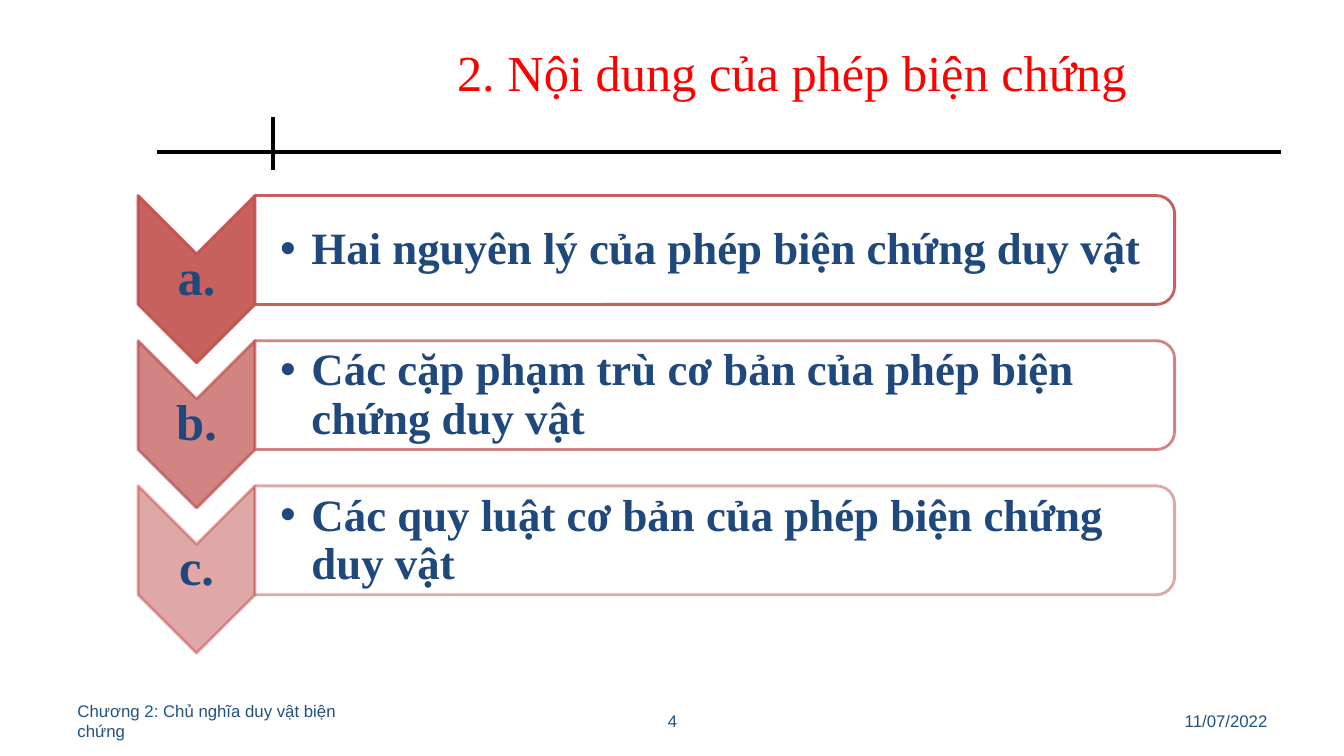
"""Build the slide listing the three parts of dialectics."""
import pptx
import pptx.util
import pptx.dml.color
import pptx.enum.shapes
import pptx.enum.text
import lxml.etree

Inches, Pt = pptx.util.Inches, pptx.util.Pt
RGBColor = pptx.dml.color.RGBColor
SHAPE = pptx.enum.shapes.MSO_SHAPE
ALIGN = pptx.enum.text.PP_ALIGN
A = "http://schemas.openxmlformats.org/drawingml/2006/main"

BLACK = RGBColor(0x00, 0x00, 0x00)
WHITE = RGBColor(0xFF, 0xFF, 0xFF)
RED = RGBColor(0xFF, 0x00, 0x00)
BRICK = RGBColor(0xC0, 0x50, 0x4D)
NAVY = RGBColor(0x1F, 0x49, 0x7D)
FOOTER_BLUE = RGBColor(0x1F, 0x52, 0x81)

TITLE = "2. Nội dung của phép biện chứng"
ROWS = [
    ("a.", "Hai nguyên lý của phép biện chứng duy vật", 90),
    ("b.", "Các cặp phạm trù cơ bản của phép biện chứng duy vật", 70),
    ("c.", "Các quy luật cơ bản của phép biện chứng duy vật", 50),
]
FOOTERS = [
    ("Chương 2: Chủ nghĩa duy vật biện chứng", 0.67, 3.11, ALIGN.LEFT),
    ("4", 4.56, 4.22, ALIGN.CENTER),
    ("11/07/2022", 9.56, 3.11, ALIGN.RIGHT),
]
RULES = [(1.56, 1.51, 12.71, 1.51), (2.71, 1.16, 2.71, 1.69)]

TITLE_FONT = {"name": "Times New Roman", "size": Pt(36)}
LABEL_FONT = {**TITLE_FONT, "bold": True}
ITEM_FONT = {**LABEL_FONT, "size": Pt(32)}
FOOTER_FONT = {"name": "Arial", "size": Pt(12)}

FIRST_TOP, PITCH = 1.94, 1.44
CHEVRON_W, CHEVRON_H = 1.66, 1.16
BAR_W, BAR_H = 9.12, 1.08
CHEVRON_LEFT = 1.37
BAR_LEFT = CHEVRON_LEFT + CHEVRON_H


def set_alpha(color_format, percent):
    color = color_format._xFill.find(f"{{{A}}}srgbClr")
    lxml.etree.SubElement(color, f"{{{A}}}alpha", val=str(percent * 1000))


def add_bullet(p, indent):
    pPr = p._p.get_or_add_pPr()
    pPr.set("marL", str(Inches(indent)))
    pPr.set("indent", str(-Inches(indent)))
    lxml.etree.SubElement(pPr, f"{{{A}}}buFont", typeface="Arial")
    lxml.etree.SubElement(pPr, f"{{{A}}}buChar", char="•")


def add_text(s, text, box, font, color, align=ALIGN.LEFT, insets=(0.1, 0.05),
             spacing=None, bullet=None):
    tf = s.shapes.add_textbox(*map(Inches, box)).text_frame
    left, other = insets
    frame = {"word_wrap": True, "vertical_anchor": pptx.enum.text.MSO_ANCHOR.MIDDLE,
             "margin_left": Inches(left), "margin_right": Inches(min(left, 0.1) if bullet is None else other),
             "margin_top": Inches(other), "margin_bottom": Inches(other)}
    for key, value in frame.items():
        setattr(tf, key, value)
    p = tf.paragraphs[0]
    if bullet:
        add_bullet(p, bullet)
    p.alignment, p.line_spacing = align, spacing
    r = p.add_run()
    r.text = text
    for key, value in font.items():
        setattr(r.font, key, value)
    r.font.color.rgb = color


def add_turned(s, kind, left, top, width, height, fill, fill_alpha, line_alpha):
    """Add a shape turned a quarter right whose turned outline has the given left and top."""
    x, y = left + (height - width) / 2, top + (width - height) / 2
    sp = s.shapes.add_shape(kind, *map(Inches, (x, y, width, height)))
    sp.rotation = 90
    sp.shadow.inherit = False
    sp.fill.solid()
    sp.fill.fore_color.rgb = fill
    sp.line.width = Pt(2)
    sp.line.color.rgb = BRICK
    for part, alpha in ((sp.fill, fill_alpha), (sp.line.fill, line_alpha)):
        set_alpha(part.fore_color, alpha)


def add_rule(s, ends):
    line = s.shapes.add_connector(pptx.enum.shapes.MSO_CONNECTOR.STRAIGHT, *map(Inches, ends))
    line.line.color.rgb = BLACK
    line.line.width = Pt(3)
    lxml.etree.SubElement(line._element.spPr, f"{{{A}}}effectLst")


def add_row(s, top, label, item, alpha):
    add_turned(s, SHAPE.CHEVRON, CHEVRON_LEFT, top, CHEVRON_W, CHEVRON_H, BRICK, alpha, alpha)
    add_text(s, label, (CHEVRON_LEFT, top + CHEVRON_H / 2, CHEVRON_H, 0.5), LABEL_FONT, NAVY,
             ALIGN.CENTER, (0.03, 0.03), 0.9)
    add_turned(s, SHAPE.ROUND_2_SAME_RECTANGLE, BAR_LEFT, top, BAR_H, BAR_W, WHITE, 90, alpha)
    add_text(s, item, (BAR_LEFT, top + 0.06, BAR_W - 0.05, 0.97), ITEM_FONT, NAVY,
             insets=(0.25, 0.02), spacing=0.9, bullet=0.31)


def main():
    prs = pptx.Presentation()
    prs.slide_width, prs.slide_height = Inches(13.33), Inches(7.5)
    s = prs.slides.add_slide(prs.slide_layouts[6])
    for ends in RULES:
        add_rule(s, ends)
    add_text(s, TITLE, (3, 0.07, 9.71, 1.36), TITLE_FONT, RED, ALIGN.CENTER, spacing=0.9)
    for i, (label, item, alpha) in enumerate(ROWS):
        add_row(s, FIRST_TOP + i * PITCH, label, item, alpha)
    for text, left, width, align in FOOTERS:
        add_text(s, text, (left, 6.95, width, 0.4), FOOTER_FONT, FOOTER_BLUE, align)
    prs.save("out.pptx")


if __name__ == "__main__":
    main()
